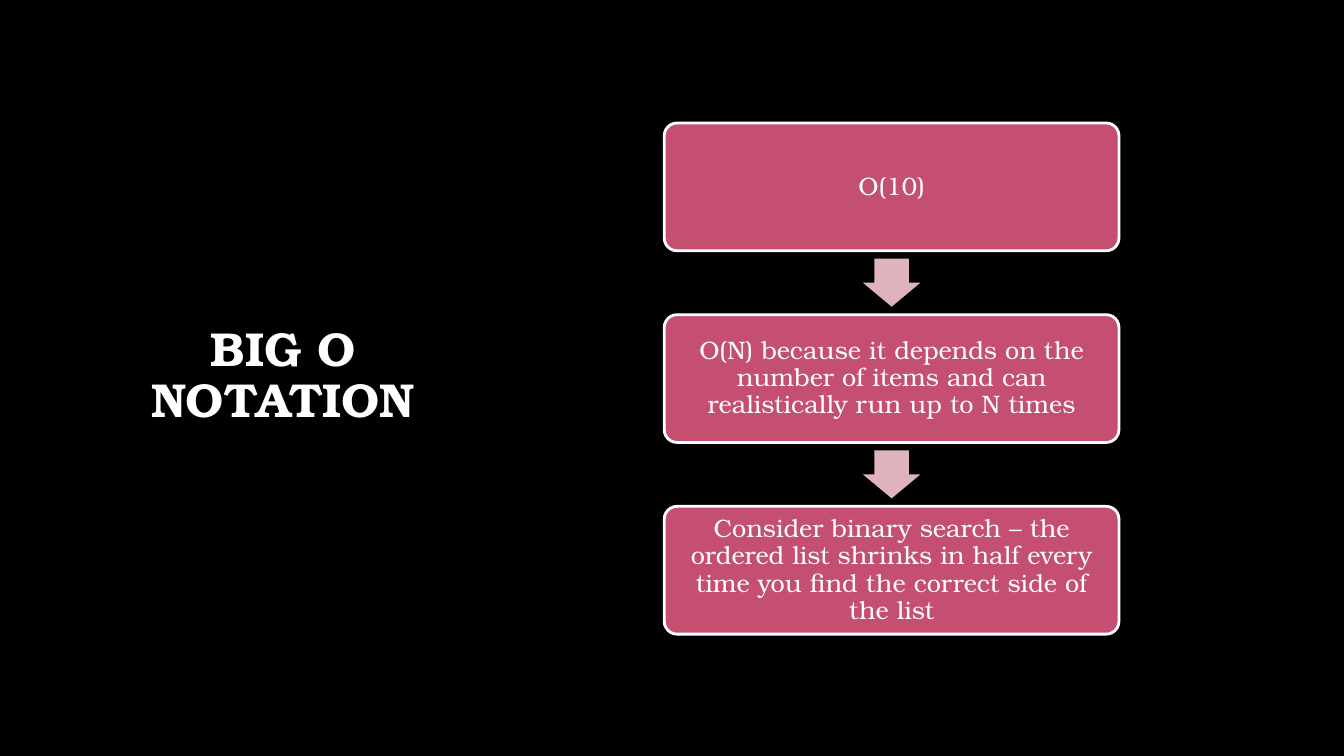
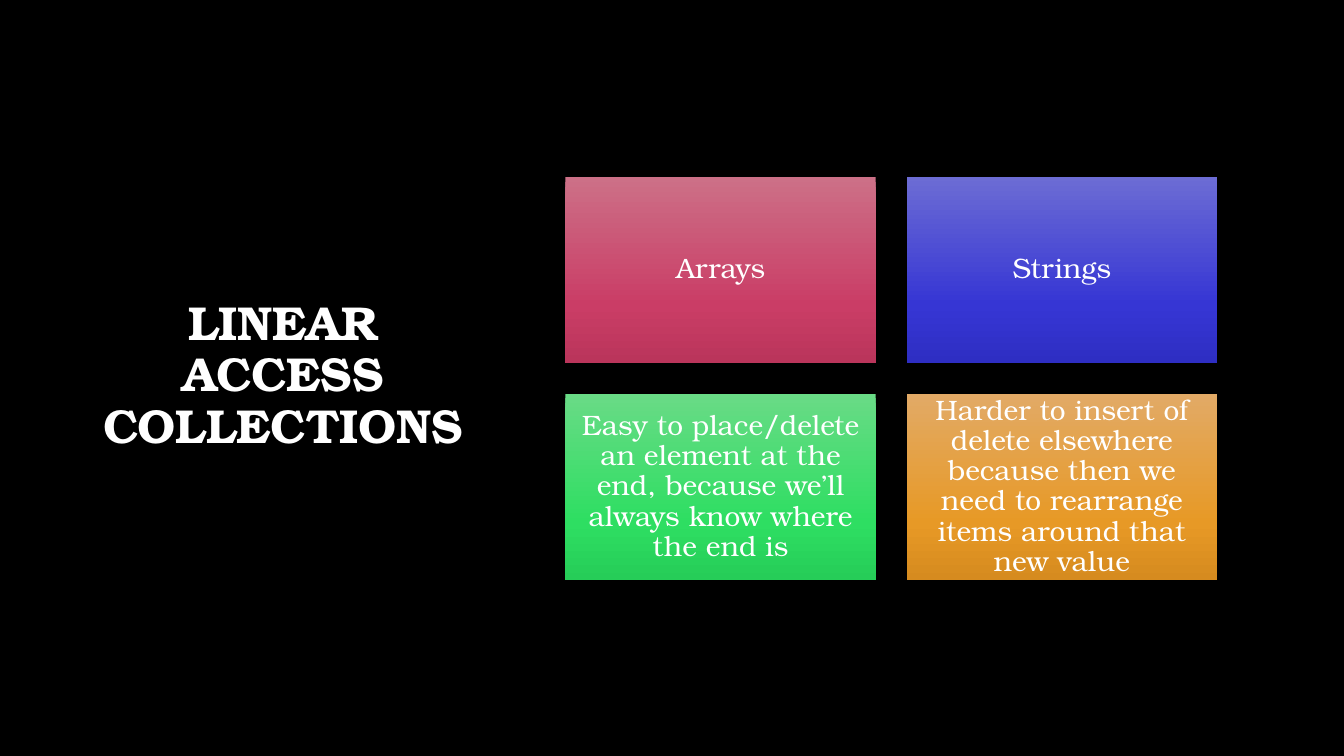
from copy import deepcopy

from pptx import Presentation
from pptx.dml.color import RGBColor as RGB
from pptx.enum.shapes import MSO_SHAPE as SHAPE
from pptx.enum.text import MSO_ANCHOR as ANCHOR, PP_ALIGN as ALIGN
from pptx.util import Cm, Pt

# Shared look
FONT = "TeX Gyre Bonum"
BLACK, WHITE = "000000", "FFFFFF"
ROSE, BLUSH = "C54F71", "DFB3BB"
PARA = dict(alignment=ALIGN.CENTER, line_spacing=0.9)
TITLE = dict(name=FONT, size=Pt(34), bold=True)
STEP = dict(name=FONT, size=Pt(18))
CARD = dict(name=FONT, size=Pt(20))

# Regions as left, top, width, height in cm
HEAD = (2.08, 1.7, 10.11, 15.57)
FLOW = (16.74, 3.1, 11.46, 12.88)
GRID = (14.25, 4.45, 16.42, 10.16)

STEPS = [
    "O(10)",
    "O(N) because it depends on the number of items and can "
    "realistically run up to N times",
    "Consider binary search – the ordered list shrinks in half every "
    "time you find the correct side of the list",
]
CARDS = [
    ("Arrays", ("CC7087", "CA3D66", "BA355B")),
    ("Strings", ("6C6CD4", "3636D4", "2E2EC3")),
    ("Easy to place/delete an element at the end, because we’ll always "
     "know where the end is", ("69DB86", "2EDE62", "26CD58")),
    ("Harder to insert of delete elsewhere because then we need to "
     "rearrange items around that new value", ("E2AA66", "E79926", "D68B1F")),
]


def paint(part, tint):
    """Give a fill or line format one solid colour."""
    fill = getattr(part, "fill", part)
    fill.solid()
    fill.fore_color.rgb = RGB.from_string(tint)


def assign(item, values):
    for key, value in values.items():
        setattr(item, key, value)


def write(shape, text, font, inset=None):
    """Set centred white text in a shape or placeholder."""
    frame = shape.text_frame
    frame.text = text
    assign(frame, dict(word_wrap=True, vertical_anchor=ANCHOR.MIDDLE))
    if inset is not None:
        sides = ("left", "top", "right", "bottom")
        assign(frame, {f"margin_{side}": Cm(inset) for side in sides})
    para = frame.paragraphs[0]
    assign(para, PARA)
    run = para.runs[0]
    assign(run.font, font)
    paint(run.font, WHITE)


def draw(slide, kind, box):
    """Add a plain shape without shadow or outline."""
    shape = slide.shapes.add_shape(kind, *map(Cm, box))
    shape.shadow.inherit = False
    shape.line.fill.background()
    return shape


def shade(shape, tints):
    """Fill from top to bottom with three colour stops."""
    fill = shape.fill
    fill.gradient()
    fill.gradient_angle = 270
    stops = shape.element.xpath(".//a:gsLst")[0]
    stops.append(deepcopy(stops[0]))
    for stop, place, tint in zip(fill.gradient_stops, (0, 0.69, 1), tints):
        stop.position = place
        stop.color.rgb = RGB.from_string(tint)


def flow(slide, box, texts):
    """Stack steps with an arrow in each gap of half a step."""
    left, top, width, height = box
    tall = height / (1.5 * len(texts) - 0.5)
    wide, long = 0.45 * tall, 0.375 * tall
    for i, text in enumerate(texts):
        y = top + 1.5 * tall * i
        if i:
            spot = (left + (width - wide) / 2,
                    y - tall / 4 - long / 2, wide, long)
            arrow = draw(slide, SHAPE.DOWN_ARROW, spot)
            arrow.adjustments[0] = 0.6
            arrow.adjustments[1] = 0.5
            paint(arrow, BLUSH)
        step = draw(slide, SHAPE.ROUNDED_RECTANGLE, (left, y, width, tall))
        step.adjustments[0] = 0.1
        paint(step, ROSE)
        paint(step.line, WHITE)
        step.line.width = Pt(2)
        write(step, text, STEP, 0.18)


def grid(slide, box, cards, cols=2):
    """Lay out cards in rows, with a gap of a tenth of a card's width."""
    left, top, width, height = box
    rows = -(-len(cards) // cols)
    wide = width / (1.1 * cols - 0.1)
    gap = wide / 10
    tall = (height - gap * (rows - 1)) / rows
    for i, (text, tints) in enumerate(cards):
        row, col = divmod(i, cols)
        spot = (left + col * (wide + gap), top + row * (tall + gap),
                wide, tall)
        card = draw(slide, SHAPE.RECTANGLE, spot)
        shade(card, tints)
        write(card, text, CARD, 0.2)


def main():
    deck = Presentation()
    assign(deck, dict(slide_width=Cm(33.87), slide_height=Cm(19.05)))

    # Background and title place, set once for all slides
    paint(deck.slide_master.background, BLACK)
    layout = deck.slide_layouts.get_by_name("Title Only")
    sides = ("left", "top", "width", "height")
    assign(layout.placeholders[0], dict(zip(sides, map(Cm, HEAD))))

    pages = [
        ("BIG O NOTATION", flow, FLOW, STEPS),
        ("LINEAR ACCESS COLLECTIONS", grid, GRID, CARDS),
    ]
    for title, build, box, items in pages:
        slide = deck.slides.add_slide(layout)
        write(slide.shapes.title, title, TITLE)
        build(slide, box, items)
    deck.save("out.pptx")


if __name__ == "__main__":
    main()
